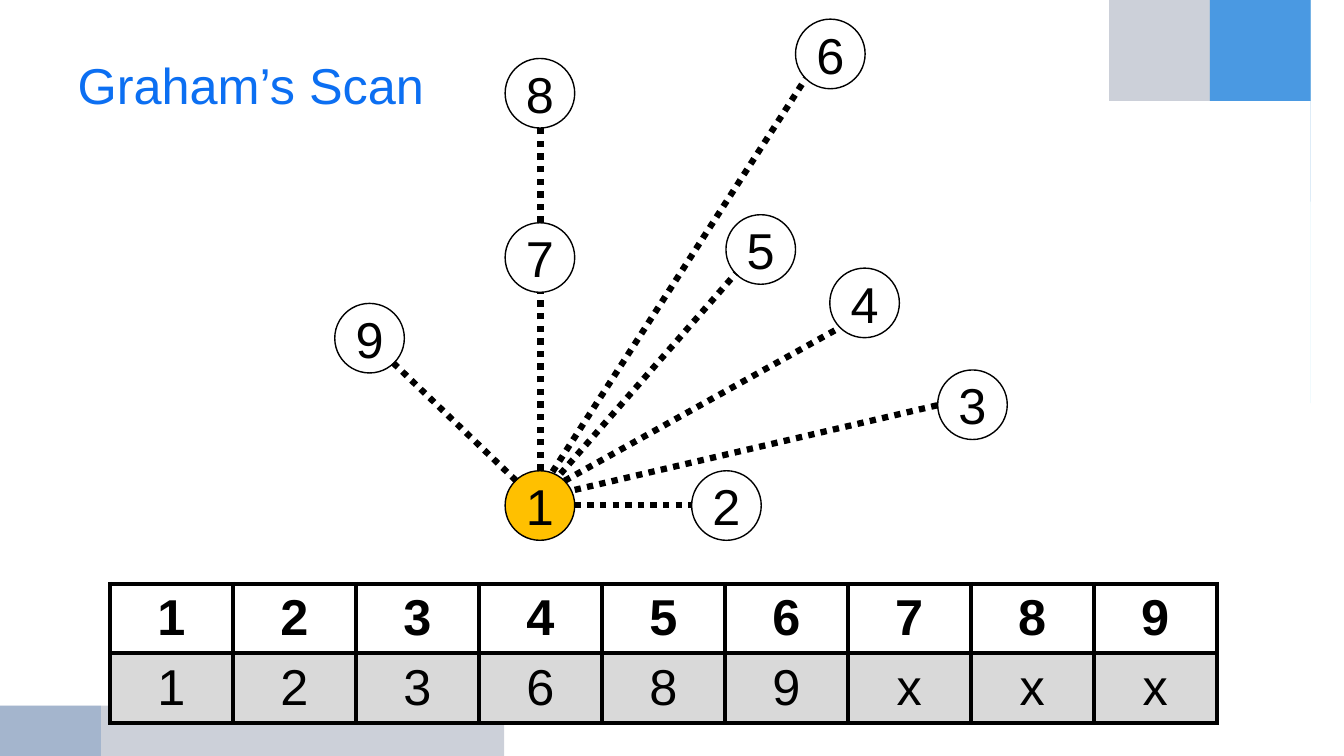
import math

import pptx
import pptx.dml.color
import pptx.enum.dml
import pptx.enum.shapes
import pptx.enum.text
import pptx.oxml
import pptx.oxml.ns
import pptx.util
from pptx.util import Inches

TITLE = "Graham’s Scan"
FONT, FONT_SIZE = "Arial", 36
BLACK, WHITE, GOLD, GRAY, BLUE = "000000", "FFFFFF", "FFC000", "D9D9D9", "0C6FF2"
SLIDE_WIDTH, SLIDE_HEIGHT = 13.33, 7.5

# Corner sweeps: corner x, corner y, signed width, signed height, colour, opacity in %
SWEEPS = [
    (SLIDE_WIDTH, 0, -1.44, 4.08, "00B1E9", 45),
    (SLIDE_WIDTH, 0, -4.44, 2.15, "021741", 20),
    (SLIDE_WIDTH, 0, -4.44, 1.55, "247FF4", 49),
    (0, SLIDE_HEIGHT, 5, -1.42, "021741", 20),
    (0, SLIDE_HEIGHT, 1.48, -2.92, "084AA1", 20),
]
SWEEP_EXPONENT = 1.75
SWEEP_STEPS = 40

# Point label: left, top of its circle
POINTS = {
    "8": (5.01, 0.58), "3": (9.3, 3.67), "9": (3.32, 3.01),
    "4": (8.23, 2.66), "2": (6.86, 4.67), "7": (5.01, 2.21),
    "5": (7.2, 2.13), "1": (5.01, 4.67), "6": (7.89, 0.19),
}
START_POINT = "1"
DIAMETER = 0.69

# Dotted rays: start x, start y, end x, end y
RAYS = [
    (5.7, 5.01, 6.86, 5.01),
    (5.7, 4.86, 9.3, 4.02),
    (5.6, 4.77, 8.33, 3.25),
    (5.56, 4.7, 7.3, 2.71),
    (5.48, 4.68, 7.99, 0.78),
    (5.36, 4.67, 5.36, 2.9),
    (5.36, 2.21, 5.36, 1.27),
    (5.12, 4.77, 3.9, 3.6),
]

STACK_ROWS = ["123456789", "123689xxx"]
ROW_FILLS = [WHITE, GRAY]
TABLE_LEFT, TABLE_TOP = 1.09, 5.79
COLUMN_WIDTH, ROW_HEIGHT = 1.22, 0.69


def color(hex_string):
    return pptx.dml.color.RGBColor.from_string(hex_string)


def paint(fill, hex_string):
    fill.solid()
    fill.fore_color.rgb = color(hex_string)


def write(text_frame, text, text_color=BLACK, bold=False,
          align=pptx.enum.text.PP_ALIGN.CENTER):
    text_frame.text = text
    paragraph = text_frame.paragraphs[0]
    paragraph.alignment = align
    paragraph.font.name = FONT
    paragraph.font.size = pptx.util.Pt(FONT_SIZE)
    paragraph.font.bold = bold
    paragraph.font.color.rgb = color(text_color)


def add_sweep(slide, corner_x, corner_y, width, height, fill_color, opacity):
    """Fill the area between a slide corner and a superellipse quarter."""
    curve = []
    for step in range(SWEEP_STEPS + 1):
        angle = math.pi / 2 * step / SWEEP_STEPS
        across = abs(math.sin(angle)) ** (2 / SWEEP_EXPONENT)
        down = abs(math.cos(angle)) ** (2 / SWEEP_EXPONENT)
        curve.append((corner_x + width * (1 - across),
                      corner_y + height * (1 - down)))
    builder = slide.shapes.build_freeform(corner_x, corner_y, scale=Inches(1))
    builder.add_line_segments(curve, close=True)
    shape = builder.convert_to_shape()
    shape.shadow.inherit = False
    shape.line.fill.background()
    paint(shape.fill, fill_color)
    solid = shape.fill._xPr.find(pptx.oxml.ns.qn("a:solidFill"))
    alpha = solid[0].makeelement(pptx.oxml.ns.qn("a:alpha"), {"val": str(opacity * 1000)})
    solid[0].append(alpha)


def add_point(slide, label, left, top):
    circle = slide.shapes.add_shape(
        pptx.enum.shapes.MSO_SHAPE.OVAL,
        Inches(left), Inches(top), Inches(DIAMETER), Inches(DIAMETER))
    circle.shadow.inherit = False
    paint(circle.fill, GOLD if label == START_POINT else WHITE)
    circle.line.color.rgb = color(BLACK)
    circle.line.width = pptx.util.Pt(1)
    circle.text_frame.vertical_anchor = pptx.enum.text.MSO_ANCHOR.MIDDLE
    write(circle.text_frame, label)


def add_ray(slide, *ends):
    ray = slide.shapes.add_connector(
        pptx.enum.shapes.MSO_CONNECTOR.STRAIGHT, *map(Inches, ends))
    ray.line.color.rgb = color(BLACK)
    ray.line.width = pptx.util.Pt(4.5)
    # ROUND_DOT is stored as sysDot
    ray.line.dash_style = pptx.enum.dml.MSO_LINE.ROUND_DOT
    properties = ray._element.spPr
    properties.append(properties.makeelement(pptx.oxml.ns.qn("a:effectLst"), {}))


def add_borders(cell):
    properties = cell._tc.get_or_add_tcPr()
    for position, side in enumerate(("lnL", "lnR", "lnT", "lnB")):
        border = pptx.oxml.parse_xml(
            f'<a:{side} {pptx.oxml.ns.nsdecls("a")} w="{pptx.util.Pt(3)}">'
            f'<a:solidFill><a:srgbClr val="{BLACK}"/></a:solidFill></a:{side}>')
        properties.insert(position, border)


def add_stack_table(slide):
    row_count, column_count = len(STACK_ROWS), len(STACK_ROWS[0])
    table = slide.shapes.add_table(
        row_count, column_count, Inches(TABLE_LEFT), Inches(TABLE_TOP),
        Inches(COLUMN_WIDTH * column_count), Inches(ROW_HEIGHT * row_count)).table
    for column in table.columns:
        column.width = Inches(COLUMN_WIDTH)
    for row_index, values in enumerate(STACK_ROWS):
        table.rows[row_index].height = Inches(ROW_HEIGHT)
        for column_index, value in enumerate(values):
            cell = table.cell(row_index, column_index)
            cell.vertical_anchor = pptx.enum.text.MSO_ANCHOR.MIDDLE
            paint(cell.fill, ROW_FILLS[row_index])
            write(cell.text_frame, value, bold=row_index == 0)
            add_borders(cell)


def main():
    presentation = pptx.Presentation()
    presentation.slide_width = Inches(SLIDE_WIDTH)
    presentation.slide_height = Inches(SLIDE_HEIGHT)
    slide = presentation.slides.add_slide(presentation.slide_layouts[5])

    for sweep in SWEEPS:
        add_sweep(slide, *sweep)

    title = slide.shapes.title
    title.left, title.top = Inches(0.67), Inches(0.33)
    title.width, title.height = Inches(12), Inches(1.01)
    title.text_frame.vertical_anchor = pptx.enum.text.MSO_ANCHOR.MIDDLE
    write(title.text_frame, TITLE, BLUE, align=pptx.enum.text.PP_ALIGN.LEFT)
    # Bring the title in front of the corner sweeps
    slide.shapes._spTree.append(title._element)

    for label, (left, top) in POINTS.items():
        add_point(slide, label, left, top)
    for ray in RAYS:
        add_ray(slide, *ray)
    add_stack_table(slide)

    presentation.save("out.pptx")


if __name__ == "__main__":
    main()
